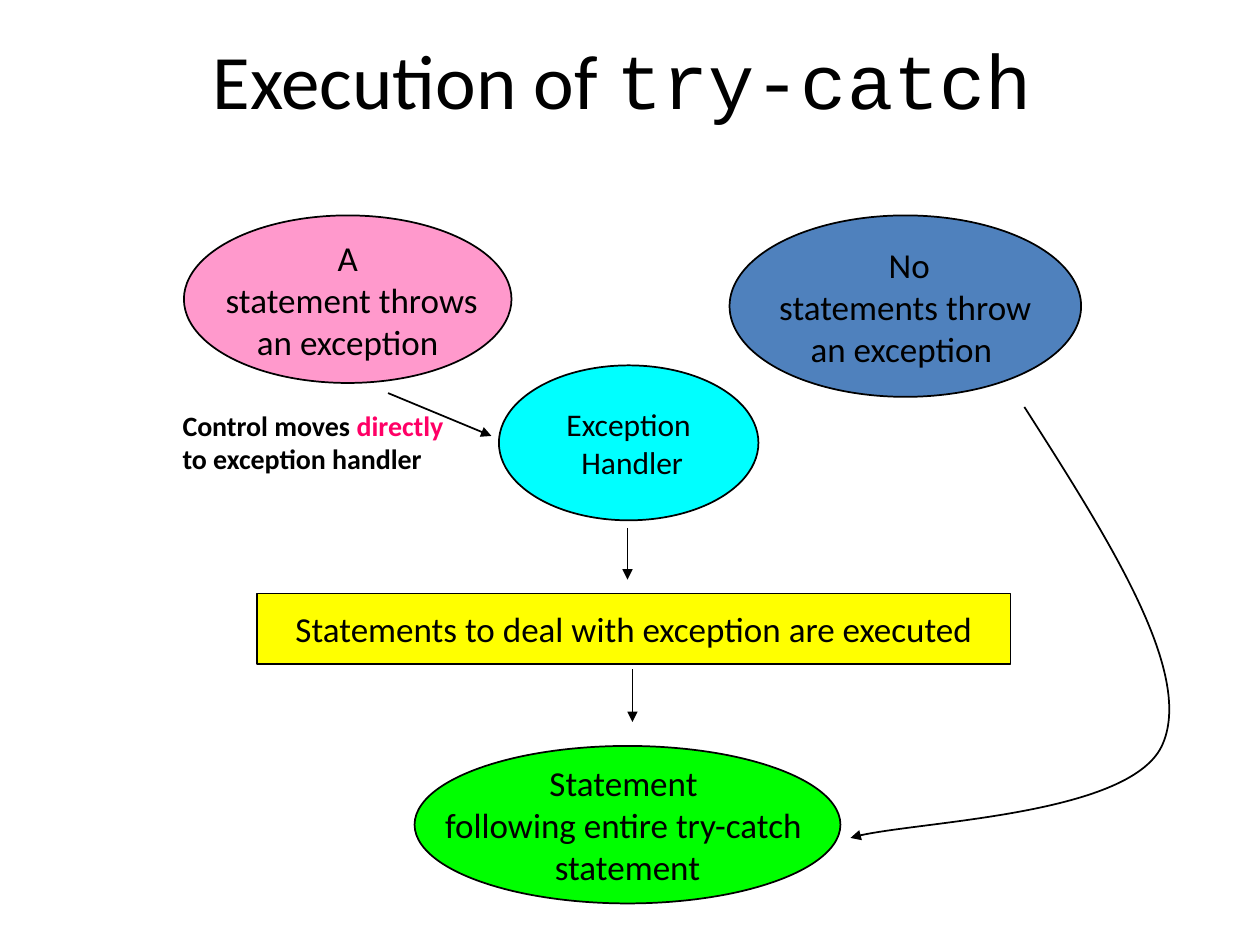
from lxml import etree
from pptx import Presentation
from pptx.dml.color import RGBColor
from pptx.enum import shapes, text
from pptx.oxml.ns import qn
from pptx.util import Inches, Pt

COLORS = {"black": "000000", "blue": "4F81BD", "green": "00FF00", "pink": "FF99CC",
          "cyan": "00FFFF", "yellow": "FFFF00", "red": "FF0066"}
OVAL, RECT = shapes.MSO_SHAPE.OVAL, shapes.MSO_SHAPE.RECTANGLE
TITLE = [("Execution of ", {}), ("try-catch", {"name": "Courier New"})]
NOTE = [("Control moves ", {}), ("directly", {"color": "red"}), (" to exception handler", {})]
STEPS = [
    (OVAL, (5.79, 1.71, 2.79, 1.44), "blue", 20,
     [" No", " statements throw ", "an exception "]),
    (OVAL, (3.29, 5.92, 3.38, 1.25), "green", 20,
     ["Statement ", "following entire try-catch ", "statement"]),
    (OVAL, (1.46, 1.71, 2.6, 1.33), "pink", 20,
     ["A", " statement throws", "an exception"]),
    (OVAL, (3.96, 2.9, 2.06, 1.23), "cyan", 18, ["Exception", " Handler"]),
    (RECT, (2.04, 4.71, 5.98, 0.56), "yellow", 20,
     ["Statements to deal with exception are executed"]),
]
ARROWS = [(3.08, 3.12, 3.9, 3.46), (4.98, 4.19, 4.98, 4.6), (5.02, 5.31, 5.02, 5.73)]
BYPASS = [(8.13, 3.23), (8.8, 4.28), (9.47, 5.33), (9.23, 5.9),
          (9, 6.47), (7.16, 6.52), (6.75, 6.65)]


def rgb(name):
    return RGBColor.from_string(COLORS[name])


def place(sp, box):
    for key, value in zip(("left", "top", "width", "height"), box):
        setattr(sp, key, Inches(value))


def write(p, runs, **base):
    for content, extra in runs:
        r = p.add_run()
        r.text = content
        style = {"name": "Calibri", "color": "black", **base, **extra}
        r.font.color.rgb = rgb(style.pop("color"))
        for key, value in style.items():
            setattr(r.font, key, value)


def outline(sp, arrow=False):
    sp.line.color.rgb = rgb("black")
    sp.line.width = Pt(1)
    if arrow:
        etree.SubElement(sp.line._get_or_add_ln(), qn("a:tailEnd"), type="triangle")
        etree.SubElement(sp._element.spPr, qn("a:effectLst"))


def add_step(slide, kind, box, fill, size, lines):
    sp = slide.shapes.add_shape(kind, *map(Inches, box))
    sp.shadow.inherit = False
    sp.fill.solid()
    sp.fill.fore_color.rgb = rgb(fill)
    outline(sp)
    tf = sp.text_frame
    tf.word_wrap = False
    tf.vertical_anchor = text.MSO_ANCHOR.MIDDLE
    for i, line in enumerate(lines):
        p = tf.add_paragraph() if i else tf.paragraphs[0]
        p.alignment = text.PP_ALIGN.CENTER
        write(p, [(line, {})], size=Pt(size))


def add_curve(slide, points):
    start, *rest = [tuple(map(Inches, pt)) for pt in points]
    builder = slide.shapes.build_freeform(*start)
    builder.add_line_segments(rest, close=False)
    sp = builder.convert_to_shape()
    segments = list(sp._element.iter(qn("a:lnTo")))
    outlines = segments[0].getparent()
    for i in range(0, len(segments), 3):
        curve = etree.SubElement(outlines, qn("a:cubicBezTo"))
        for segment in segments[i:i + 3]:
            curve.append(segment[0])
            outlines.remove(segment)
    sp.fill.background()
    outline(sp, arrow=True)


def main():
    """Build the try-catch execution flow slide."""
    prs = Presentation()
    prs.slide_width, prs.slide_height = Inches(10), Inches(7.5)
    slide = prs.slides.add_slide(prs.slide_layouts[5])
    title = slide.shapes.title
    place(title, (0.65, 0, 8.58, 1.25))
    title.text_frame.vertical_anchor = text.MSO_ANCHOR.MIDDLE
    p = title.text_frame.paragraphs[0]
    p.alignment = text.PP_ALIGN.CENTER
    write(p, TITLE, size=Pt(44))

    for step in STEPS:
        add_step(slide, *step)
    for ends in ARROWS:
        line = slide.shapes.add_connector(shapes.MSO_CONNECTOR.STRAIGHT, *map(Inches, ends))
        outline(line, arrow=True)
    add_curve(slide, BYPASS)

    note = slide.shapes.add_textbox(*map(Inches, (1.35, 3.19, 2.48, 0.9)))
    note.text_frame.word_wrap = True
    write(note.text_frame.paragraphs[0], NOTE, size=Pt(16), bold=True)
    prs.save("out.pptx")


if __name__ == "__main__":
    main()
